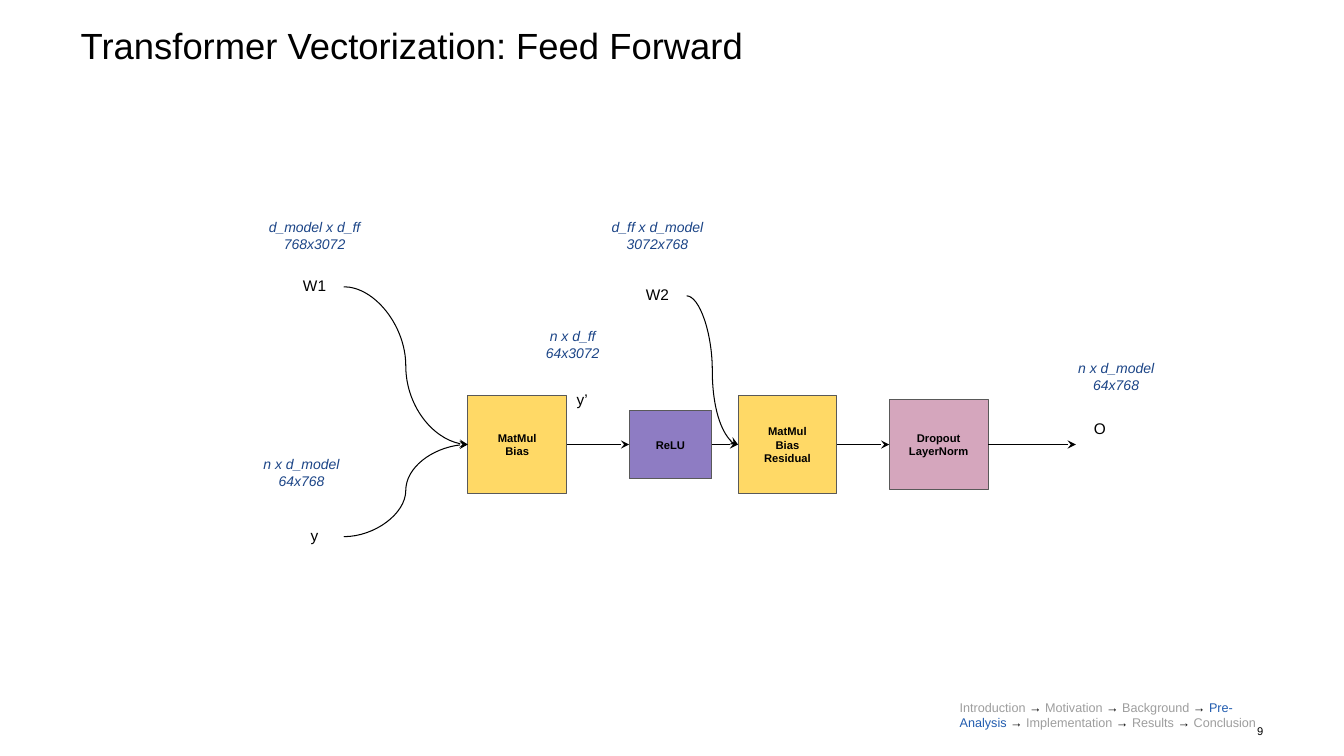
from lxml import etree
from pptx import Presentation
from pptx.dml.color import RGBColor
from pptx.enum import shapes, text
from pptx.oxml import ns
from pptx.util import Inches, Pt

BLACK = RGBColor(0x00, 0x00, 0x00)
WHITE = RGBColor(0xFF, 0xFF, 0xFF)
OUTLINE = RGBColor(0x59, 0x59, 0x59)
YELLOW = RGBColor(0xFF, 0xD9, 0x66)
PURPLE = RGBColor(0x8E, 0x7C, 0xC3)
PINK = RGBColor(0xD5, 0xA6, 0xBD)
NAVY = RGBColor(0x1C, 0x45, 0x87)
GREY = RGBColor(0x9E, 0x9E, 0x9E)
BLUE = RGBColor(0x21, 0x5C, 0xAF)

FONT = "Arial"
FLOW_Y = 4.41
CENTER, LEFT, RIGHT = text.PP_ALIGN.CENTER, text.PP_ALIGN.LEFT, text.PP_ALIGN.RIGHT
TOP, MIDDLE = text.MSO_ANCHOR.TOP, text.MSO_ANCHOR.MIDDLE
GROW, FIXED = text.MSO_AUTO_SIZE.SHAPE_TO_FIT_TEXT, text.MSO_AUTO_SIZE.NONE
STRAIGHT, CURVE = shapes.MSO_CONNECTOR.STRAIGHT, shapes.MSO_CONNECTOR.CURVE
SIDE_LEFT, SIDE_RIGHT = 1, 3


def write(tf, lines, size=11, color=BLACK, bold=False, italic=False,
          align=CENTER, anchor=TOP, inset=0.1, fit=GROW, spacing=None):
    tf.word_wrap = True
    tf.auto_size = fit
    tf.vertical_anchor = anchor
    tf.margin_left = tf.margin_right = tf.margin_top = tf.margin_bottom = Inches(inset)
    for i, line in enumerate(lines):
        p = tf.add_paragraph() if i else tf.paragraphs[0]
        p.alignment = align
        if spacing:
            p.line_spacing = spacing
        for words, run_color in [(line, color)] if isinstance(line, str) else line:
            r = p.add_run()
            r.text = words
            r.font.name = FONT
            r.font.size = Pt(size)
            r.font.bold = bold
            r.font.italic = italic
            r.font.color.rgb = run_color


def add_text(s, left, top, width, height, lines, **style):
    sp = s.shapes.add_textbox(Inches(left), Inches(top), Inches(width), Inches(height))
    write(sp.text_frame, lines, **style)
    return sp


def add_symbol(s, left, top, name, align=CENTER):
    return add_text(s, left, top, 0.58, 0.39, [name], align=align)


def add_dimensions(s, center, top, *lines):
    width = 2.65
    add_text(s, center - width / 2, top, width, 0.54, lines, size=10, color=NAVY, italic=True)


def add_step(s, left, width, height, fill, *lines):
    sp = s.shapes.add_shape(shapes.MSO_SHAPE.RECTANGLE, Inches(left),
                            Inches(FLOW_Y - height / 2), Inches(width), Inches(height))
    sp.shadow.inherit = False
    sp.fill.solid()
    sp.fill.fore_color.rgb = fill
    sp.line.color.rgb = OUTLINE
    sp.line.width = Pt(0.75)
    write(sp.text_frame, lines, size=8, bold=True, anchor=MIDDLE, fit=FIXED)
    return sp


def add_arrow(s, start, end=None, kind=STRAIGHT, end_x=0):
    y = Inches(FLOW_Y)
    cxn = s.shapes.add_connector(kind, start.left + start.width, y, Inches(end_x), y)
    cxn.begin_connect(start, SIDE_RIGHT)
    if end is not None:
        cxn.end_connect(end, SIDE_LEFT)
    cxn.line.color.rgb = BLACK
    cxn.line.width = Pt(0.75)
    etree.SubElement(cxn.line._get_or_add_ln(), ns.qn("a:tailEnd"), type="stealth")
    etree.SubElement(cxn._element.spPr, ns.qn("a:effectLst"))


def add_title(s, words):
    sp = s.shapes.title
    sp.left, sp.top, sp.width, sp.height = (Inches(v) for v in (0.8, 0.28, 11.73, 0.98))
    write(sp.text_frame, [words], size=26, align=LEFT, inset=0, fit=FIXED, spacing=0.9)


def add_breadcrumb(s, sections, current):
    runs = []
    for name in sections:
        if runs:
            runs.append((" → ", BLACK))
        runs.append((name, BLUE if name == current else GREY))
    add_text(s, 9.42, 6.84, 3.22, 0.66, [runs], size=9, align=LEFT)


def main():
    prs = Presentation()
    prs.slide_width, prs.slide_height = Inches(13.33), Inches(7.5)
    s = prs.slides.add_slide(prs.slide_layouts[5])
    s.background.fill.solid()
    s.background.fill.fore_color.rgb = WHITE

    add_title(s, "Transformer Vectorization: Feed Forward")
    add_text(s, 12.18, 7.13, 0.35, 0.24, ["9"], size=8, align=RIGHT,
             anchor=MIDDLE, inset=0, fit=FIXED)

    matmul = add_step(s, 4.64, 0.98, 0.98, YELLOW, "MatMul", "Bias")
    relu = add_step(s, 6.24, 0.82, 0.68, PURPLE, "ReLU")
    residual = add_step(s, 7.32, 0.98, 0.98, YELLOW, "MatMul", "Bias", "Residual")
    dropout = add_step(s, 8.82, 0.98, 0.89, PINK, "Dropout", "LayerNorm")

    w1 = add_symbol(s, 2.83, 2.65, "W1")
    y = add_symbol(s, 2.83, 5.13, "y")
    w2 = add_symbol(s, 6.23, 2.74, "W2")
    add_symbol(s, 5.62, 3.78, "y’", LEFT)
    add_symbol(s, 10.75, 4.07, "O", LEFT)

    add_dimensions(s, 3.12, 2.07, "d_model x d_ff", "768x3072")
    add_dimensions(s, 2.99, 4.42, "n x d_model", "64x768")
    add_dimensions(s, 5.68, 3.15, "n x d_ff", "64x3072")
    add_dimensions(s, 6.52, 2.07, "d_ff x d_model", "3072x768")
    add_dimensions(s, 11.07, 3.47, "n x d_model", "64x768")

    for weight, step in [(w1, matmul), (y, matmul), (w2, residual)]:
        add_arrow(s, weight, step, CURVE)
    steps = [matmul, relu, residual, dropout]
    for start, end in zip(steps, steps[1:]):
        add_arrow(s, start, end)
    add_arrow(s, dropout, end_x=10.67)

    add_breadcrumb(s, ["Introduction", "Motivation", "Background", "Pre-Analysis",
                       "Implementation", "Results", "Conclusion"], "Pre-Analysis")
    prs.save("out.pptx")


if __name__ == "__main__":
    main()
